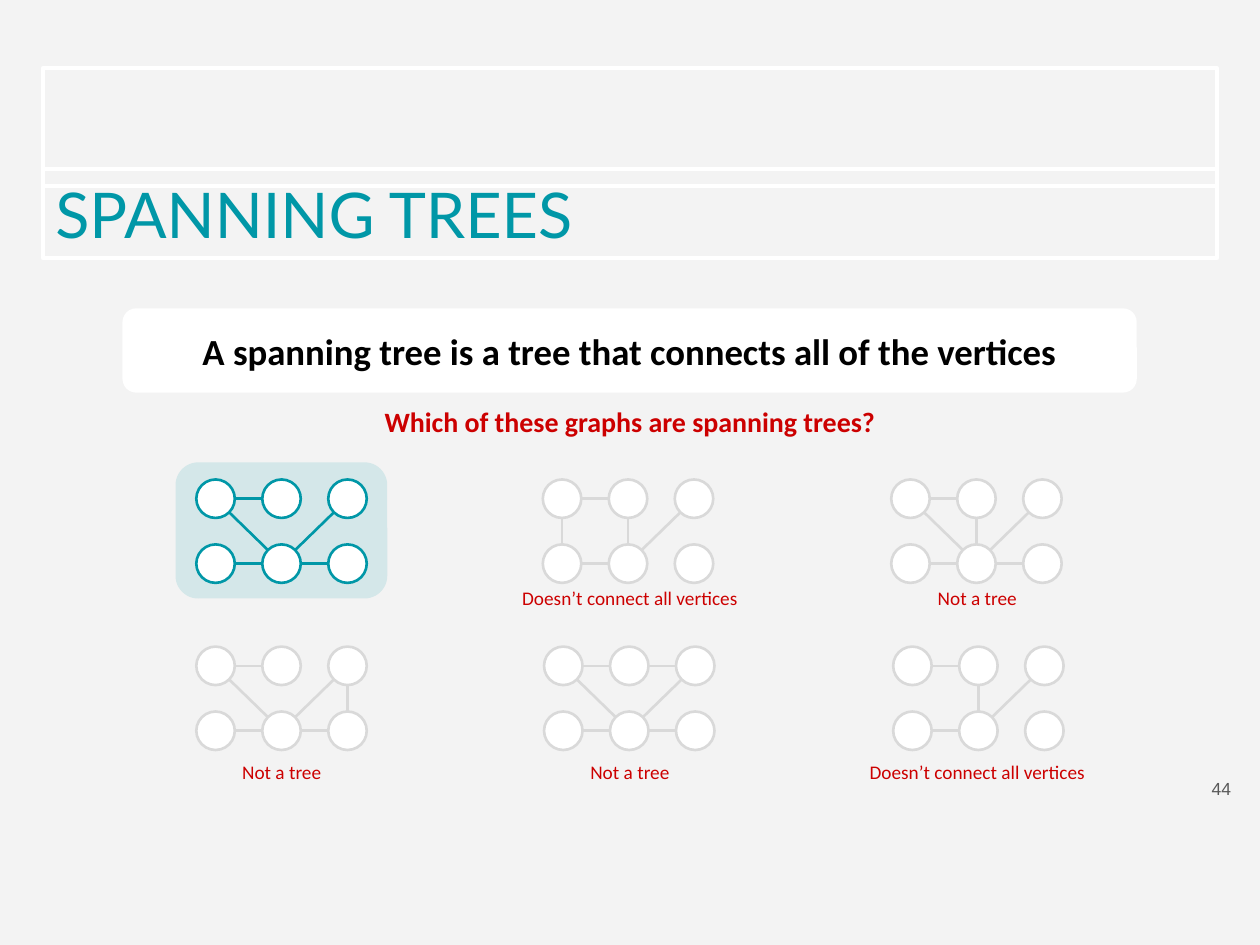
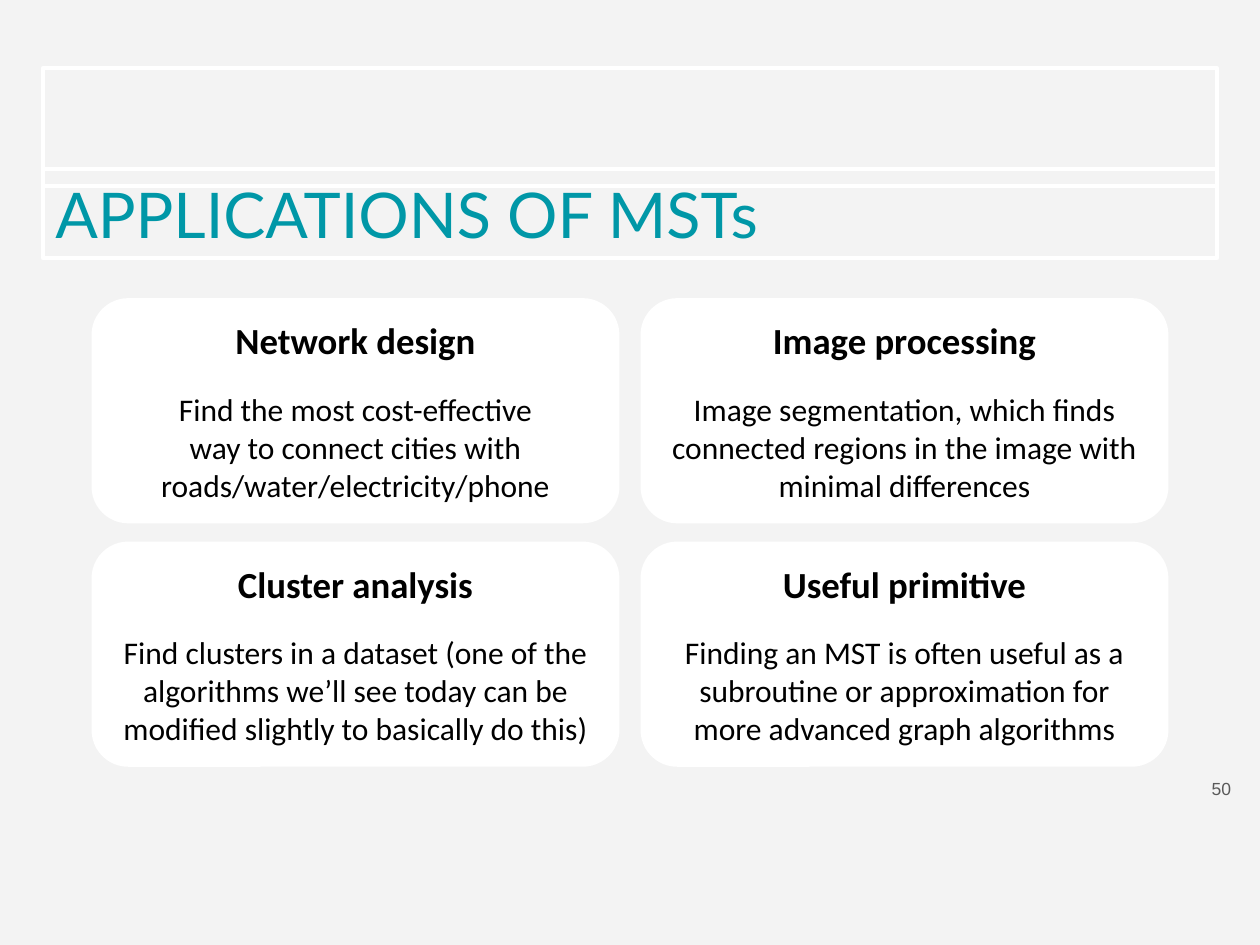
from math import hypot

from lxml import etree
from pptx import Presentation
from pptx.dml.color import RGBColor
from pptx.enum.shapes import MSO_CONNECTOR, MSO_SHAPE
from pptx.enum.text import MSO_ANCHOR, PP_ALIGN
from pptx.oxml.ns import qn
from pptx.util import Pt

LEFT, CENTER, RIGHT = PP_ALIGN.LEFT, PP_ALIGN.CENTER, PP_ALIGN.RIGHT
MIDDLE = MSO_ANCHOR.MIDDLE
RECT, ROUNDED, OVAL = MSO_SHAPE.RECTANGLE, MSO_SHAPE.ROUNDED_RECTANGLE, MSO_SHAPE.OVAL
STRAIGHT = MSO_CONNECTOR.STRAIGHT

BACKGROUND, WHITE, BLACK = "F3F3F3", "FFFFFF", "000000"
TEAL, PALE_TEAL, RED = "0097A7", "D4E7E9", "CC0000"
LIGHT_GRAY, DARK_GRAY = "D9D9D9", "595959"
TITLE_FONT, BODY_FONT, NUMBER_FONT = "Lato", "Calibri", "Arial"

BAND_LEFT, BAND_WIDTH = 24.5, 671
INSET = 7.2
NODE, NODE_STEP_X, NODE_STEP_Y = 22, 37.7, 37.1


def rgb(color):
    return RGBColor.from_string(color)


class Deck:
    def __init__(self):
        self.prs = Presentation()
        self.prs.slide_width, self.prs.slide_height = Pt(720), Pt(540)
        self.s = None

    def slide(self, title, number):
        """Start a slide with the shared background, bands, title and number."""
        self.s = self.prs.slides.add_slide(self.prs.slide_layouts[6])
        self.s.background.fill.solid()
        self.s.background.fill.fore_color.rgb = rgb(BACKGROUND)
        self.shape(RECT, BAND_LEFT, 38.9, BAND_WIDTH, 67.7, line=WHITE, weight=2.25)
        band = self.shape(RECT, BAND_LEFT, 96.5, BAND_WIDTH, 51.1, line=WHITE, weight=2.25)
        self.set_text(band, title, 36, TEAL, TITLE_FONT, align=LEFT)
        self.text(667.4, 434.9, 43.2, 31, number, 10, DARK_GRAY, NUMBER_FONT, align=RIGHT)

    def shape(self, kind, x, y, w, h, fill=None, line=None, weight=1.5, radius=None):
        sp = self.s.shapes.add_shape(kind, Pt(x), Pt(y), Pt(w), Pt(h))
        sp.shadow.inherit = False
        if radius is not None:
            sp.adjustments[0] = radius
        if fill:
            sp.fill.solid()
            sp.fill.fore_color.rgb = rgb(fill)
        else:
            sp.fill.background()
        if line:
            sp.line.color.rgb = rgb(line)
            sp.line.width = Pt(weight)
        else:
            sp.line.fill.background()
        return sp

    def text(self, x, y, w, h, text, size, color, font=BODY_FONT, bold=False, align=CENTER):
        box = self.s.shapes.add_textbox(Pt(x), Pt(y), Pt(w), Pt(h))
        self.set_text(box, text, size, color, font, bold, align)

    def set_text(self, sp, text, size, color, font=BODY_FONT, bold=False, align=CENTER):
        tf = sp.text_frame
        tf.word_wrap = True
        tf.vertical_anchor = MIDDLE
        tf.margin_left = tf.margin_right = tf.margin_top = tf.margin_bottom = Pt(INSET)
        self.fill_paragraph(tf.paragraphs[0], text, size, color, font, bold, align)

    def fill_paragraph(self, p, text, size, color, font=BODY_FONT, bold=False, align=CENTER):
        p.alignment = align
        for i, part in enumerate(text.split("\n")):
            if i:
                p.add_line_break()
            r = p.add_run()
            r.text = part
            r.font.size, r.font.name, r.font.bold = Pt(size), font, bold
            r.font.color.rgb = rgb(color)

    def line(self, x1, y1, x2, y2, color):
        edge = self.s.shapes.add_connector(STRAIGHT, Pt(x1), Pt(y1), Pt(x2), Pt(y2))
        edge.line.color.rgb = rgb(color)
        edge.line.width = Pt(1.5)
        etree.SubElement(edge._element.spPr, qn("a:effectLst"))

    def graph(self, x, y, edges, color):
        """Draw six nodes, numbered by row from 0, and edges such as "01"."""
        corners = [(x + col * NODE_STEP_X, y + row * NODE_STEP_Y)
                   for row in range(2) for col in range(3)]
        mid = NODE / 2
        for edge in edges.split():
            (ax, ay), (bx, by) = (corners[int(n)] for n in edge)
            dx, dy = (bx > ax) - (bx < ax), (by > ay) - (by < ay)
            reach = mid / hypot(dx, dy)
            self.line(ax + mid + dx * reach, ay + mid + dy * reach,
                      bx + mid - dx * reach, by + mid - dy * reach, color)
        for left, top in corners:
            self.shape(OVAL, left, top, NODE, NODE, WHITE, color)

    def card(self, x, y, w, h, heading, body):
        sp = self.shape(ROUNDED, x, y, w, h, WHITE, radius=0.163)
        self.set_text(sp, heading, 21, BLACK, bold=True)
        p = sp.text_frame.add_paragraph()
        p.space_before = Pt(15.9)
        self.fill_paragraph(p, body, 18, BLACK)


def spanning_trees(deck):
    deck.slide("SPANNING TREES", "44")
    deck.text(BAND_LEFT, 225.4, BAND_WIDTH, 31, "Which of these graphs are spanning trees?",
              16, RED, bold=True)
    definition = deck.shape(ROUNDED, 70, 176.2, 579.6, 48.2, WHITE, radius=0.163)
    deck.set_text(definition, "A spanning tree is a tree that connects all of the vertices",
                  21, BLACK, bold=True)
    deck.shape(ROUNDED, 100.3, 264.2, 121, 77.8, PALE_TEAL, radius=0.167)

    not_tree, not_all = "Not a tree", "Doesn’t connect all vertices"
    label_centers, label_width = (161, 360, 558.5), 151.2
    rows = [
        (274, 317.5, [(112.2, "01 24 04 34 45", None),
                      (310.2, "01 24 34 03 14", not_all),
                      (509.3, "01 24 04 34 45 14", not_tree)]),
        (369.5, 416.9, [(112.2, "01 24 04 34 45 25", not_tree),
                        (310.9, "01 24 04 34 45 12", not_tree),
                        (510.4, "01 24 34 14", not_all)]),
    ]
    for graph_top, label_top, graphs in rows:
        for center, (left, edges, flaw) in zip(label_centers, graphs):
            deck.graph(left, graph_top, edges, LIGHT_GRAY if flaw else TEAL)
            if flaw:
                deck.text(center - label_width / 2, label_top, label_width, 48.2, flaw, 11, RED)


def applications(deck):
    deck.slide("APPLICATIONS OF MSTs", "50")
    cards = [
        ("Network design", "Find the most cost-effective\n"
         "way to connect cities with roads/water/electricity/phone"),
        ("Image processing", "Image segmentation, which finds connected regions "
         "in the image with minimal differences"),
        ("Cluster analysis", "Find clusters in a dataset (one of the algorithms "
         "we’ll see today can be modified slightly to basically do this)"),
        ("Useful primitive", "Finding an MST is often useful as a subroutine "
         "or approximation for more advanced graph algorithms"),
    ]
    width, height, gap_x, gap_y = 301.7, 128.7, 12, 10.4
    for i, (heading, body) in enumerate(cards):
        row, col = divmod(i, 2)
        deck.card(52.3 + col * (width + gap_x), 170.4 + row * (height + gap_y),
                  width, height, heading, body)


def main():
    deck = Deck()
    spanning_trees(deck)
    applications(deck)
    deck.prs.save("out.pptx")


if __name__ == "__main__":
    main()
